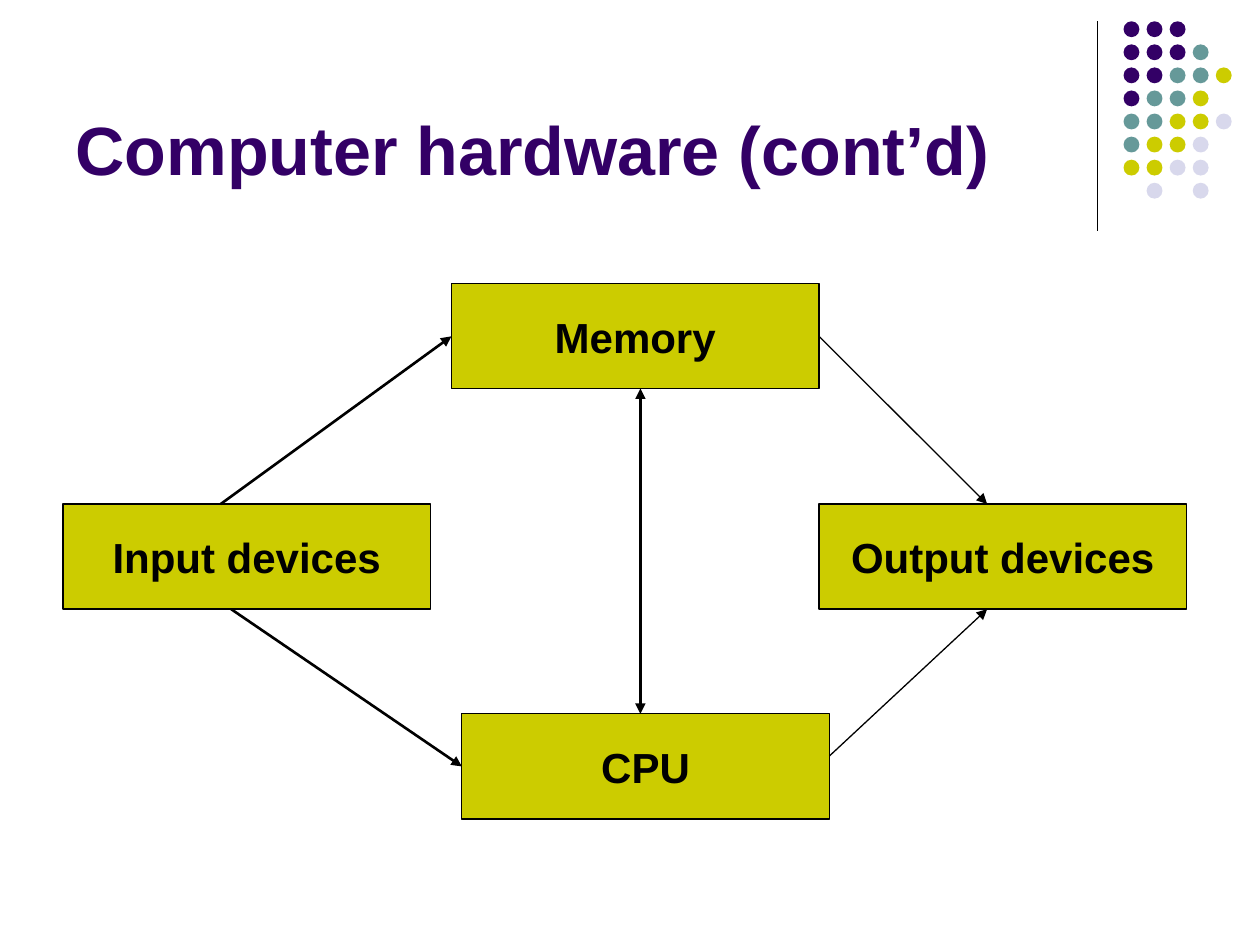
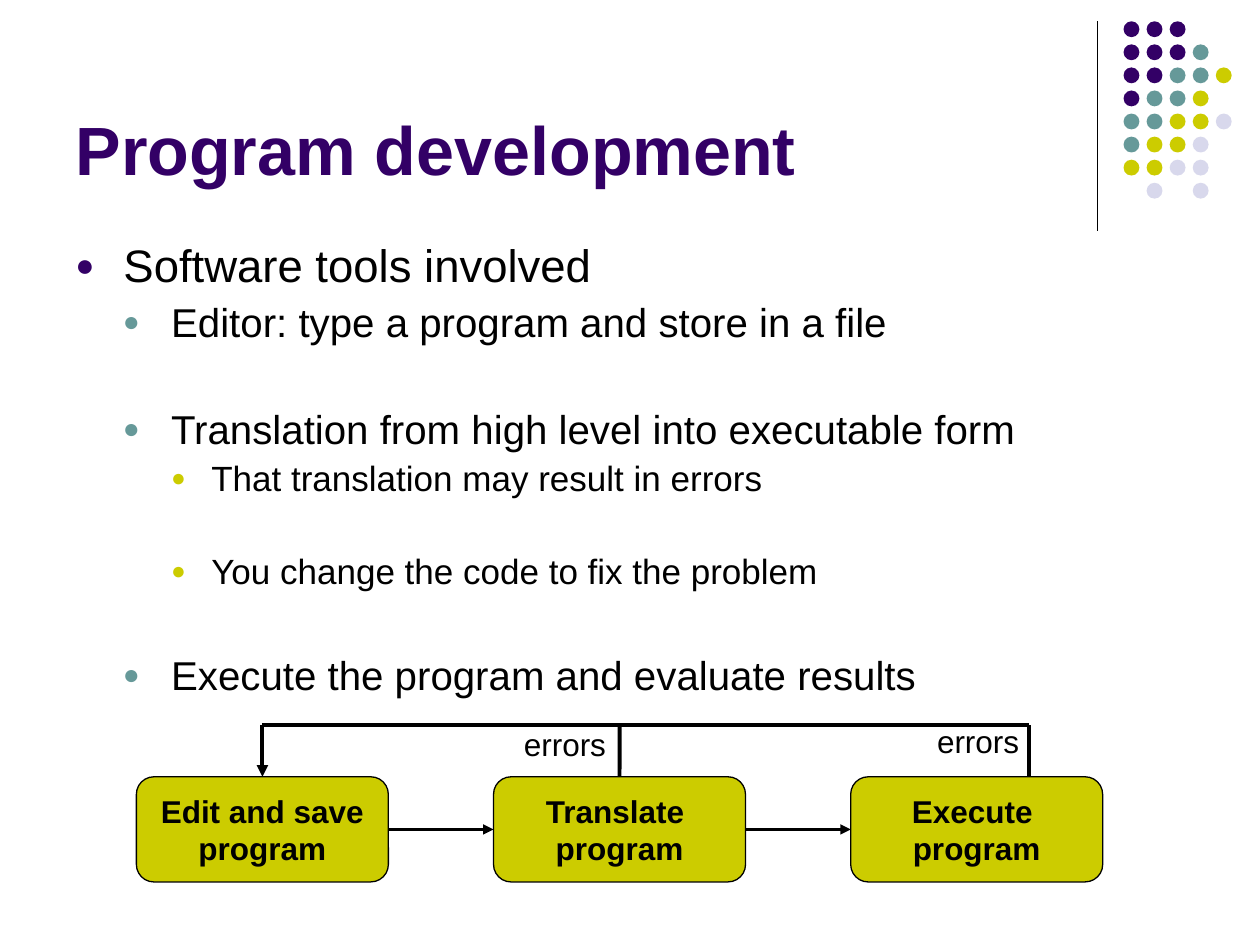
from collections import namedtuple

from lxml.etree import SubElement
from pptx import Presentation
from pptx.dml.color import RGBColor
from pptx.enum.shapes import MSO_CONNECTOR, MSO_SHAPE
from pptx.enum.text import MSO_ANCHOR, MSO_AUTO_SIZE, PP_ALIGN
from pptx.oxml.ns import qn
from pptx.util import Cm, Pt

COLORS = {
    "purple": "330066",
    "teal": "669999",
    "olive": "CCCC00",
    "lavender": "D8D8EC",
    "black": "000000",
    "white": "FFFFFF",
}
FONT = "Arial"
TITLE_ONLY = 5
TOP, LEFT, BOTTOM, RIGHT = range(4)

DOT_ROWS = ["PPP", "PPPT", "PPTTO", "PTTO", "TTOOL", "TOOL", "OOLL", " L L"]
DOT_COLORS = {"P": "purple", "T": "teal", "O": "olive", "L": "lavender"}
DOT_SIZE, DOT_PITCH = 0.32, 0.465
DOT_LEFT, DOT_TOP = 22.65, 0.43

BOX_HEIGHT = 2.12
DEVICE_WIDTH = 7.41
STEP_WIDTH, STEP_PITCH = 5.08, 7.2
STEP_LEFT, STEP_TOP = 2.75, 15.66
LOOP_TOP = 14.61

Level = namedtuple("Level", "size margin hanging bullet")
LEVELS = [
    Level(26, 0.97, 0.97, "purple"),
    Level(23, 1.93, 0.97, "teal"),
    Level(20, 2.74, 0.81, "olive"),
]
OUTLINE = [
    (0, 6.5, "Software tools involved"),
    (1, 5.8, "Editor: type a program and store in a file"),
    (1, 36.2, "Translation from high level into executable form"),
    (2, 5, "That translation may result in errors"),
    (2, 31.5, "You change the code to fix the problem"),
    (1, 36.2, "Execute the program and evaluate results"),
]
Joint = namedtuple("Joint", "shape side")


def rgb(name):
    return RGBColor.from_string(COLORS[name])


def write(para, text, size=18, color="black", bold=False, align=None):
    para.alignment = align
    span = para.add_run()
    span.text = text
    span.font.name = FONT
    span.font.size = Pt(size)
    span.font.bold = bold
    span.font.color.rgb = rgb(color)


def add_bullet(para, level):
    properties = para._p.get_or_add_pPr()
    properties.set("marL", str(Cm(level.margin)))
    properties.set("indent", str(-Cm(level.hanging)))
    color = SubElement(properties, qn("a:buClr"))
    SubElement(color, qn("a:srgbClr"), val=COLORS[level.bullet])
    SubElement(properties, qn("a:buSzPct"), val="70000")
    SubElement(properties, qn("a:buFont"), typeface=FONT)
    SubElement(properties, qn("a:buChar"), char="●")


def add_box(page, kind, left, top, width, lines, size):
    box = page.shapes.add_shape(kind, Cm(left), Cm(top), Cm(width), Cm(BOX_HEIGHT))
    box.shadow.inherit = False
    box.fill.solid()
    box.fill.fore_color.rgb = rgb("olive")
    box.line.color.rgb = rgb("black")
    box.line.width = Pt(0.75)
    frame = box.text_frame
    frame.word_wrap = False
    frame.vertical_anchor = MSO_ANCHOR.MIDDLE
    for index, line in enumerate(lines):
        para = frame.add_paragraph() if index else frame.paragraphs[0]
        write(para, line, size=size, bold=True, align=PP_ALIGN.CENTER)
    return box


def add_link(page, start, end, weight=1.5, heads=("tailEnd",)):
    points = [(0, 0) if isinstance(stop, Joint) else stop for stop in (start, end)]
    lengths = [Cm(value) for point in points for value in point]
    link = page.shapes.add_connector(MSO_CONNECTOR.STRAIGHT, *lengths)
    if isinstance(start, Joint):
        link.begin_connect(*start)
    if isinstance(end, Joint):
        link.end_connect(*end)
    link.line.color.rgb = rgb("black")
    link.line.width = Pt(weight)
    for head in heads:
        SubElement(link.line._get_or_add_ln(), qn(f"a:{head}"), type="triangle")
    SubElement(link._element.spPr, qn("a:effectLst"))


def add_label(page, left, top, text):
    box = page.shapes.add_textbox(Cm(left), Cm(top), Cm(2.16), Cm(1.02))
    box.text_frame.word_wrap = False
    write(box.text_frame.paragraphs[0], text)


def add_dots(page):
    group = page.shapes.add_group_shape()
    for row, marks in enumerate(DOT_ROWS):
        for column, mark in enumerate(marks):
            if mark == " ":
                continue
            dot = group.shapes.add_shape(
                MSO_SHAPE.OVAL,
                Cm(DOT_LEFT + column * DOT_PITCH),
                Cm(DOT_TOP + row * DOT_PITCH),
                Cm(DOT_SIZE),
                Cm(DOT_SIZE),
            )
            dot.shadow.inherit = False
            dot.fill.solid()
            dot.fill.fore_color.rgb = rgb(DOT_COLORS[mark])
            dot.line.fill.background()


def add_page(deck, heading):
    page = deck.slides.add_slide(deck.slide_layouts[TITLE_ONLY])
    page.background.fill.solid()
    page.background.fill.fore_color.rgb = rgb("white")
    add_link(page, (22.12, 0.43), (22.12, 4.65), weight=0.75, heads=())
    add_dots(page)
    title = page.shapes.title
    title.left, title.top = Cm(1.27), Cm(0.33)
    title.width, title.height = Cm(20.96), Cm(3.61)
    frame = title.text_frame
    frame.auto_size = MSO_AUTO_SIZE.NONE
    frame.vertical_anchor = MSO_ANCHOR.BOTTOM
    write(frame.paragraphs[0], heading, size=39, color="purple", bold=True,
          align=PP_ALIGN.LEFT)
    return page


def add_outline(page):
    box = page.shapes.add_textbox(Cm(1.27), Cm(4.78), Cm(22.86), Cm(9.63))
    frame = box.text_frame
    frame.word_wrap = True
    for index, (depth, gap, text) in enumerate(OUTLINE):
        para = frame.add_paragraph() if index else frame.paragraphs[0]
        para.level = depth
        para.line_spacing = 0.9
        para.space_before = Pt(gap)
        add_bullet(para, LEVELS[depth])
        write(para, text, size=LEVELS[depth].size)


def build_hardware(deck):
    page = add_page(deck, "Computer hardware (cont’d)")
    places = {
        "Memory": (9.1, 5.72),
        "Input devices": (1.27, 10.16),
        "Output devices": (16.51, 10.16),
        "CPU": (9.31, 14.39),
    }
    devices = {
        name: add_box(page, MSO_SHAPE.RECTANGLE, *place, DEVICE_WIDTH, [name], 24)
        for name, place in places.items()
    }
    memory, cpu = devices["Memory"], devices["CPU"]
    add_link(page, (4.66, 12.28), Joint(cpu, LEFT))
    add_link(page, (4.45, 10.16), Joint(memory, LEFT))
    add_link(page, (12.91, 7.83), (12.91, 14.39), heads=("headEnd", "tailEnd"))
    add_link(page, (16.72, 15.24), (19.9, 12.28), weight=0.75)
    add_link(page, Joint(memory, RIGHT), (19.9, 10.16), weight=0.75)


def build_development(deck):
    page = add_page(deck, "Program development")
    add_outline(page)
    steps = [
        add_box(page, MSO_SHAPE.ROUNDED_RECTANGLE, STEP_LEFT + index * STEP_PITCH,
                STEP_TOP, STEP_WIDTH, [action, "program"], 18)
        for index, action in enumerate(["Edit and save", "Translate ", "Execute "])
    ]
    for before, after in zip(steps, steps[1:]):
        add_link(page, Joint(before, RIGHT), Joint(after, LEFT))
    edit_x = STEP_LEFT + STEP_WIDTH / 2
    translate_x = edit_x + STEP_PITCH
    execute_x = 20.74
    add_link(page, (edit_x, LOOP_TOP), Joint(steps[0], TOP), weight=2.25)
    add_link(page, (edit_x, LOOP_TOP), (execute_x, LOOP_TOP), weight=2.25, heads=())
    add_link(page, (translate_x, LOOP_TOP), Joint(steps[1], TOP), weight=2.25, heads=())
    add_link(page, (execute_x, STEP_TOP), (execute_x, LOOP_TOP), weight=2.25, heads=())
    add_label(page, 10.31, 14.5, "errors")
    add_label(page, 18.64, 14.43, "errors")


def main():
    deck = Presentation()
    deck.slide_width, deck.slide_height = Cm(25.4), Cm(19.05)
    build_hardware(deck)
    build_development(deck)
    deck.save("out.pptx")


if __name__ == "__main__":
    main()
